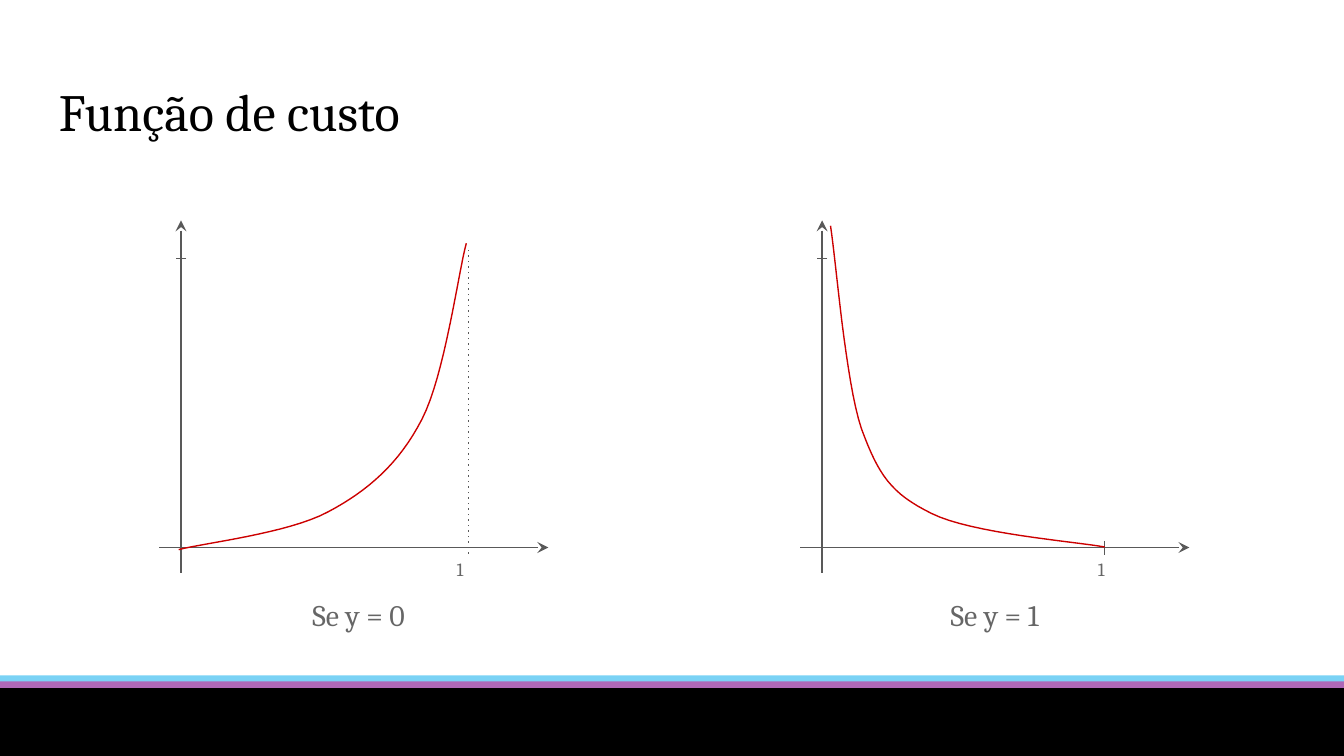
import pptx
import pptx.util
import pptx.dml.color
import pptx.enum.shapes
import pptx.oxml
import pptx.oxml.ns
import lxml.etree


def rgb(value):
    return pptx.dml.color.RGBColor.from_string(value)


def add_element(parent, tag, **attributes):
    return lxml.etree.SubElement(parent, pptx.oxml.ns.qn(tag), attributes)


presentation = pptx.Presentation()
presentation.slide_width = pptx.util.Inches(10)
presentation.slide_height = presentation.slide_width * 9 // 16
slide = presentation.slides.add_slide(presentation.slide_layouts[6])
cell = presentation.slide_width // 100
columns, rows = 100, 56.25
panel_step = 47.7

bands = [(50.25, "00A9EC", "52000"), (50.7, "E3007B", "50000"), (51.25, "000000", None)]
for top, colour, alpha in bands:
    band = slide.shapes.add_shape(
        pptx.enum.shapes.MSO_SHAPE.RECTANGLE,
        0, int(top * cell), columns * cell, int((rows - 51.25) * cell),
    )
    band.shadow.inherit = False
    band.fill.solid()
    band.fill.fore_color.rgb = rgb(colour)
    if alpha:
        band.line.fill.background()
        fill_colour = band.fill._xPr.find(".//" + pptx.oxml.ns.qn("a:srgbClr"))
        add_element(fill_colour, "a:alpha", val=alpha)
    else:
        band.line.color.rgb = rgb(colour)
        band.line.width = pptx.util.Pt(0.75)

lines = [
    (34.85, 41.2, 34.85, 18.4, "dot"),
    (82.2, 40.25, 82.2, 41.3, "tick"),
]
for panel in range(2):
    shift = panel * panel_step
    lines += [
        (13.47 + shift, 16.4, 13.47 + shift, 42.6, "axis"),
        (40.8 + shift, 40.74, 11.85 + shift, 40.74, "axis"),
        (13.85 + shift, 19.25, 13.1 + shift, 19.25, "tick"),
    ]

for *ends, kind in lines:
    connector = slide.shapes.add_connector(
        pptx.enum.shapes.MSO_CONNECTOR.STRAIGHT, *[int(end * cell) for end in ends]
    )
    connector.line.color.rgb = rgb("595959")
    connector.line.width = pptx.util.Pt(0.75)
    outline = connector.line._get_or_add_ln()
    if kind == "dot":
        add_element(outline, "a:prstDash", val="dot")
    if kind == "axis":
        add_element(outline, "a:headEnd", type="stealth", w="med", len="med")
    add_element(connector._element.spPr, "a:effectLst")

curves = [
    [(13.3, 40.9), (15.2, 40.4), (21.4, 39.7), (24.4, 38.1), (27.4, 36.5),
     (29.7, 34.5), (31.4, 31.2), (33.1, 27.9), (34.1, 20.3), (34.7, 18.1)],
    [(82.2, 40.7), (80, 40.3), (72.3, 39.7), (69.3, 38.2), (66.3, 36.7),
     (65.4, 35.4), (64.1, 31.9), (62.9, 28.3), (62.2, 19.3), (61.8, 16.8)],
]
steps = 16
for controls in curves:
    points = []
    for first in range(0, len(controls) - 1, 3):
        segment = controls[first:first + 4]
        for step in range(1, steps + 1):
            t = step / steps
            weights = ((1 - t) ** 3, 3 * t * (1 - t) ** 2, 3 * t ** 2 * (1 - t), t ** 3)
            points.append(tuple(
                int(cell * sum(weight * point[axis] for weight, point in zip(weights, segment)))
                for axis in range(2)
            ))
    start_x, start_y = controls[0]
    builder = slide.shapes.build_freeform(int(start_x * cell), int(start_y * cell))
    builder.add_line_segments(points, close=False)
    curve = builder.convert_to_shape()
    curve.shadow.inherit = False
    curve.fill.background()
    curve.line.color.rgb = rgb("CC0000")
    curve.line.width = pptx.util.Pt(0.75)

texts = [("Função de custo", 3.4, 4.9, 93.2, 6.3, 28, "000000")]
for panel in range(2):
    texts += [
        ("1", 33 + panel * panel_step, 40.7, 4.3, 5.7, 10, "666666"),
        (f"Se y = {panel}", 22.25 + panel * 47.5, 43.4, 12.5, 3.4, 16, "666666"),
    ]

for text, left, top, width, height, size, colour in texts:
    box = slide.shapes.add_textbox(*[int(length * cell) for length in (left, top, width, height)])
    frame = box.text_frame
    frame.word_wrap = True
    frame.margin_left = frame.margin_right = frame.margin_top = frame.margin_bottom = cell
    paragraph = frame.paragraphs[0]
    paragraph.text = text
    paragraph.font.name = "Cambria"
    paragraph.font.size = pptx.util.Pt(size)
    paragraph.font.color.rgb = rgb(colour)

presentation.save("out.pptx")
